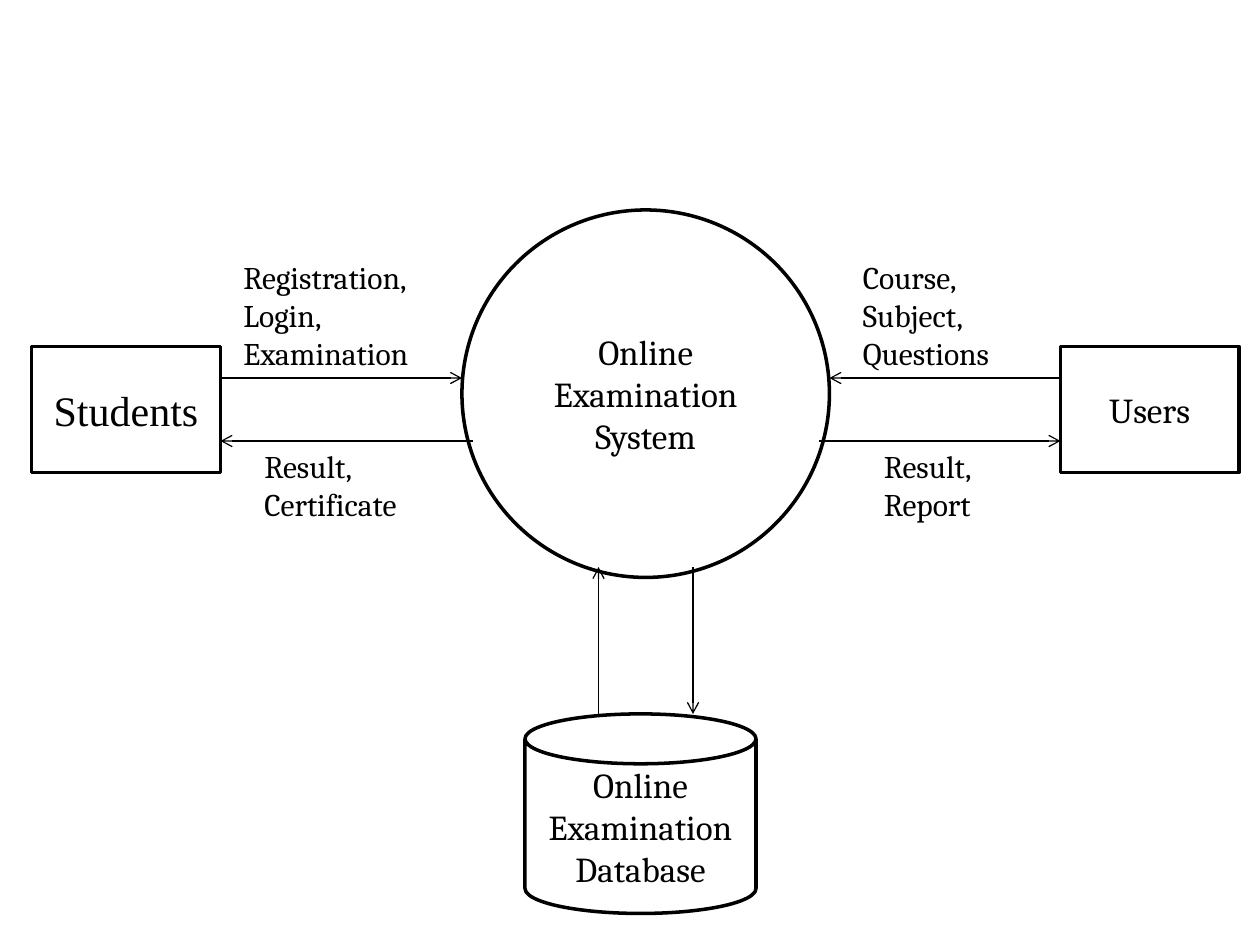
"""Builds a context diagram of an online examination system."""
from lxml import etree
from pptx import Presentation
from pptx.dml.color import RGBColor
from pptx.enum.shapes import MSO_CONNECTOR, MSO_SHAPE
from pptx.enum.text import MSO_ANCHOR, MSO_AUTO_SIZE, PP_ALIGN
from pptx.oxml.ns import qn
from pptx.util import Emu, Pt

OVAL, RECT, CAN = MSO_SHAPE.OVAL, MSO_SHAPE.RECTANGLE, MSO_SHAPE.CAN
STRAIGHT = MSO_CONNECTOR.STRAIGHT
MIDDLE, CENTER, LEFT = MSO_ANCHOR.MIDDLE, PP_ALIGN.CENTER, PP_ALIGN.LEFT
GROW = MSO_AUTO_SIZE.SHAPE_TO_FIT_TEXT

COLORS = {"ink": "000000", "paper": "FFFFFF"}
SERIF, ROMAN = "Cambria", "Times New Roman"
PX = 9525

NODES = [
    (OVAL, (352, 160, 280, 280), "Online Examination System", SERIF, 20),
    (RECT, (24, 264, 144, 96), "Students", ROMAN, 24),
    (RECT, (808, 264, 136, 96), "Users", SERIF, 20),
    (CAN, (400, 544, 176, 152), "Online Examination Database", SERIF, 20),
]
FLOWS = [
    (168, 288, 352, 288),
    (360, 336, 168, 336),
    (624, 336, 808, 336),
    (808, 288, 632, 288),
    (528, 432, 528, 544),
    (456, 544, 456, 432),
]
LABELS = [
    ((176, 192, 160, 97), ["Registration, Login, Examination"]),
    ((192, 336, 152, 68), ["Result, Certificate"]),
    ((648, 192, 144, 97), ["Course,", "Subject,", "Questions"]),
    ((664, 336, 120, 68), ["Result,", "Report"]),
]


def px(values):
    return [Emu(v * PX) for v in values]


def color(name):
    return RGBColor.from_string(COLORS[name])


def write(tf, lines, font, size, align):
    tf.word_wrap = True
    for i, line in enumerate(lines):
        p = tf.paragraphs[0] if i == 0 else tf.add_paragraph()
        p.alignment = align
        r = p.add_run()
        r.text = line
        r.font.name = font
        r.font.size = Pt(size)
        r.font.color.rgb = color("ink")


def add_node(slide, kind, box, text, font, size):
    sp = slide.shapes.add_shape(kind, *px(box))
    sp.shadow.inherit = False
    sp.fill.solid()
    sp.fill.fore_color.rgb = color("paper")
    sp.line.color.rgb = color("ink")
    sp.line.width = Pt(2)
    sp.text_frame.vertical_anchor = MIDDLE
    write(sp.text_frame, [text], font, size, CENTER)


def add_flow(slide, ends):
    cxn = slide.shapes.add_connector(STRAIGHT, *px(ends))
    cxn.line.color.rgb = color("ink")
    cxn.line.width = Pt(0.75)
    etree.SubElement(cxn.line._get_or_add_ln(), qn("a:tailEnd"), type="arrow")
    etree.SubElement(cxn._element.spPr, qn("a:effectLst"))


def add_label(slide, box, lines):
    tf = slide.shapes.add_textbox(*px(box)).text_frame
    write(tf, lines, SERIF, 18, LEFT)
    tf.auto_size = GROW


def main():
    prs = Presentation()
    prs.slide_width, prs.slide_height = px((960, 720))
    slide = prs.slides.add_slide(prs.slide_layouts[6])
    for node in NODES:
        add_node(slide, *node)
    for ends in FLOWS:
        add_flow(slide, ends)
    for box, lines in LABELS:
        add_label(slide, box, lines)
    prs.save("out.pptx")


if __name__ == "__main__":
    main()
